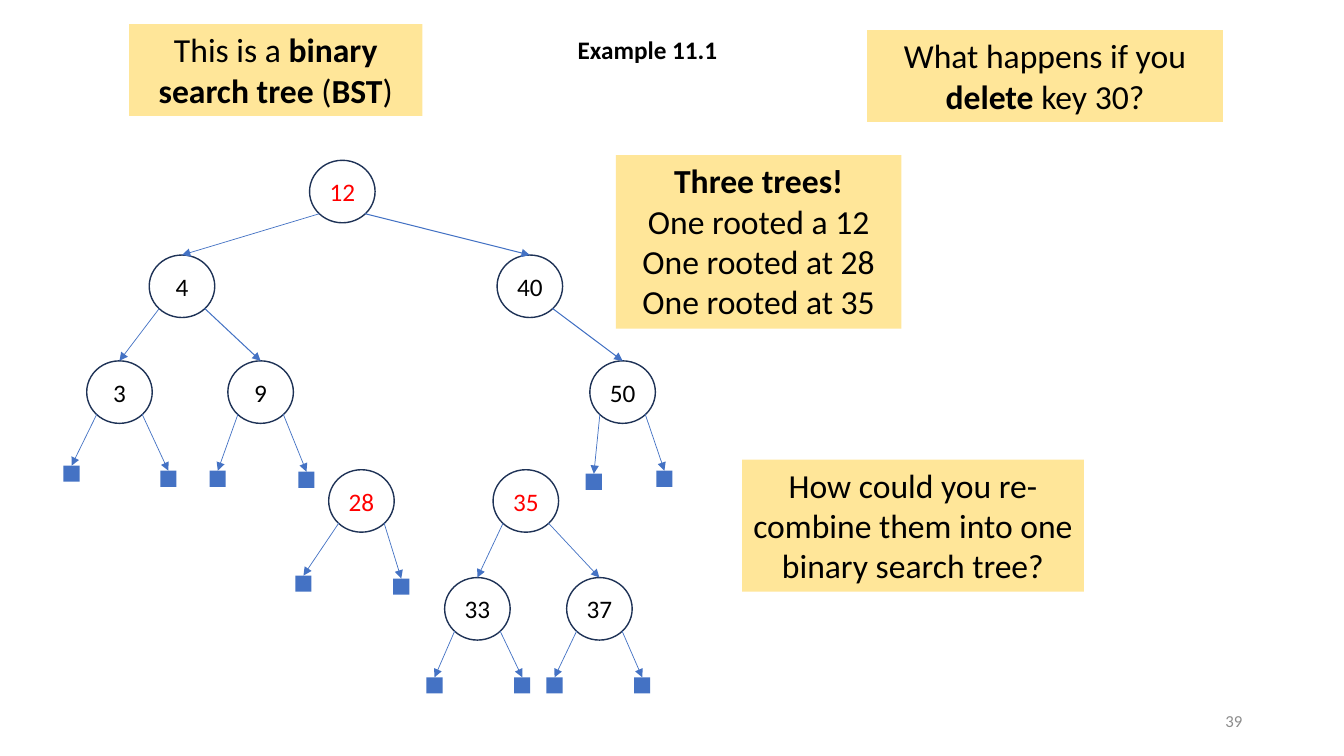
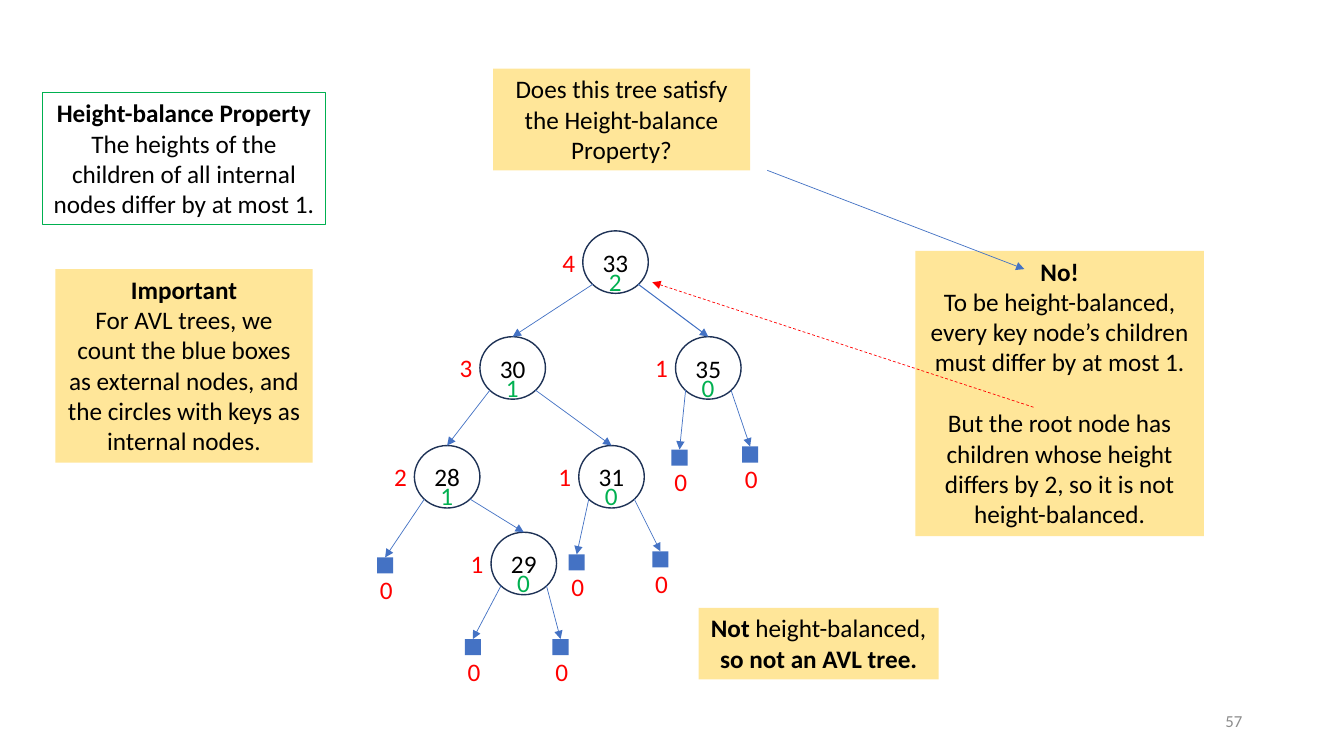
"""Binary search tree and AVL tree slides."""
from dataclasses import dataclass
from typing import Optional

import pptx
import pptx.dml.color
import pptx.enum.dml
import pptx.enum.shapes
import pptx.enum.text
import pptx.oxml
import pptx.oxml.ns
import pptx.util

Inches = pptx.util.Inches
SHAPE = pptx.enum.shapes.MSO_SHAPE
ALIGN = pptx.enum.text.PP_ALIGN
ANCHOR = pptx.enum.text.MSO_ANCHOR
DASH = pptx.enum.dml.MSO_LINE.DASH

BLACK, RED, GREEN, BLUE = "000000", "FF0000", "00B050", "4472C4"
NAVY, YELLOW, GREY = "1E3256", "FFE699", "8C8C8C"
NODE_W, NODE_H, LEAF = 0.65, 0.62, 0.16


def rgb(value):
    """Turn a hex string into a colour."""
    return pptx.dml.color.RGBColor.from_string(value)


@dataclass
class Node:
    """A tree node at its left and top; one without a key is external."""
    x: float
    y: float
    key: str = ""
    left: Optional["Node"] = None
    right: Optional["Node"] = None
    edge: float = 0.5
    color: str = BLACK

    @property
    def children(self):
        """List the children that exist."""
        return [n for n in (self.left, self.right) if n]

    @property
    def height(self):
        """Count the levels below this node."""
        return 1 + max(n.height for n in self.children) if self.key else 0

    @property
    def balance(self):
        """Give the height difference of the two children."""
        return abs(self.left.height - self.right.height)


class Deck:
    """Holds the style and the current slide."""
    font = "Calibri"

    def __init__(self):
        """Start an empty wide deck."""
        self.prs = pptx.Presentation()
        self.prs.slide_width = Inches(13.33)
        self.prs.slide_height = Inches(7.5)
        self.s = None

    def slide(self, number):
        """Add a slide with its page number."""
        self.s = self.prs.slides.add_slide(self.prs.slide_layouts[5])
        self.text((9.42, 6.95, 3, 0.4), number, 12, GREY, ALIGN.RIGHT, True)

    def set_text(self, sp, paras, size=18, color=BLACK, align=ALIGN.CENTER,
                 wrap=True, anchor=ANCHOR.TOP, gaps=None):
        """Put paragraphs of (text, bold) runs into a shape."""
        tf = sp.text_frame
        tf.auto_size = pptx.enum.text.MSO_AUTO_SIZE.NONE
        tf.word_wrap = wrap
        tf.vertical_anchor = anchor
        for i, runs in enumerate(paras):
            p = tf.add_paragraph() if i else tf.paragraphs[0]
            p.alignment = align
            p.space_before = pptx.util.Pt((gaps or {}).get(i, 0))
            for text, bold in runs:
                r = p.add_run()
                r.text = text
                r.font.name = self.font
                r.font.size = pptx.util.Pt(size)
                r.font.bold = bold
                r.font.color.rgb = rgb(color)

    def paint(self, sp, fill=None, line=None, width=1):
        """Set fill and outline of a shape."""
        if fill:
            sp.fill.solid()
            sp.fill.fore_color.rgb = rgb(fill)
        else:
            sp.fill.background()
        if line:
            sp.line.color.rgb = rgb(line)
            sp.line.width = pptx.util.Pt(width)
        else:
            sp.line.fill.background()

    def shape(self, kind, at, fill=None, line=None, width=1):
        """Add a flat preset shape."""
        sp = self.s.shapes.add_shape(kind, *map(Inches, at))
        sp.shadow.inherit = False
        self.paint(sp, fill, line, width)
        return sp

    def title(self, at, paras, fill=None, align=ALIGN.CENTER, wrap=True):
        """Place and fill the title placeholder."""
        sp = self.s.shapes.title
        sp.left, sp.top, sp.width, sp.height = map(Inches, at)
        self.paint(sp, fill)
        self.set_text(sp, paras, align=align, wrap=wrap)

    def box(self, at, paras, size=18, fill=YELLOW, line=None, gaps=None):
        """Add a note box."""
        sp = self.shape(SHAPE.RECTANGLE, at, fill, line, 0.75)
        self.set_text(sp, paras, size, gaps=gaps)

    def text(self, at, text, size=18, color=BLACK, align=ALIGN.LEFT, wrap=False):
        """Add a one-line text box."""
        sp = self.s.shapes.add_textbox(*map(Inches, at))
        self.set_text(sp, [[(text, False)]], size, color, align, wrap, ANCHOR.MIDDLE)

    def arrow(self, start, end, color=BLUE, width=0.5, dash=None, target=None):
        """Add an arrow, joined to the top of a target if there is one."""
        c = self.s.shapes.add_connector(
            pptx.enum.shapes.MSO_CONNECTOR.STRAIGHT, *map(Inches, start + end))
        c.line.color.rgb = rgb(color)
        c.line.width = pptx.util.Pt(width)
        if dash:
            c.line.dash_style = dash
        if target is not None:
            c.end_connect(target, 0)
        ns = pptx.oxml.ns.nsdecls("a")
        pr = c.element.spPr
        pr.get_or_add_ln().append(
            pptx.oxml.parse_xml(f'<a:tailEnd {ns} type="triangle"/>'))
        pr.append(pptx.oxml.parse_xml(f"<a:effectLst {ns}/>"))

    def tree(self, node):
        """Draw a node and all below it, and return its shape."""
        x, y = node.x, node.y
        if not node.key:
            return self.shape(SHAPE.RECTANGLE, (x, y, LEAF, LEAF), BLUE)
        sp = self.shape(SHAPE.OVAL, (x, y, NODE_W, NODE_H), line=NAVY)
        tf = sp.text_frame
        tf.margin_left = tf.margin_right = tf.margin_top = tf.margin_bottom = 0
        self.set_text(sp, [[(node.key, False)]], color=node.color,
                      anchor=ANCHOR.MIDDLE)
        for child in node.children:
            side = 0.1 if child is node.left else NODE_W - 0.1
            self.arrow((x + side, y + 0.53), (child.x, child.y),
                       width=child.edge, target=self.tree(child))
        return sp

    def heights(self, node):
        """Label heights in red and child differences in green."""
        dx, dy = (-0.3, 0.11) if node.key else (-0.07, 0.12)
        self.text((node.x + dx, node.y + dy, 0.33, 0.4), str(node.height), color=RED)
        if node.key:
            self.text((node.x + 0.16, node.y + 0.3, 0.33, 0.4),
                      str(node.balance), color=GREEN)
        for child in node.children:
            self.heights(child)


def split_trees(d):
    """Build the slide on deleting a key."""
    d.slide("39")
    d.title((5.63, 0.29, 1.6, 0.4), [[("Example 11.1", True)]],
            align=ALIGN.LEFT, wrap=False)
    d.box((1.28, 0.24, 2.91, 0.91),
          [[("This is a ", False), ("binary search tree", True),
            (" (", False), ("BST", True), (")", False)]], 24)
    d.box((8.6, 0.3, 3.53, 0.91),
          [[("What happens if you ", False), ("delete", True),
            (" key 30?", False)]], 24)
    three = Node(0.86, 3.58, "3", Node(0.63, 4.62), Node(1.59, 4.67))
    nine = Node(2.26, 3.58, "9", Node(2.08, 4.67), Node(2.96, 4.68), 0.75)
    fifty = Node(5.85, 3.58, "50", Node(5.81, 4.7), Node(6.51, 4.67), 0.75)
    four = Node(1.48, 2.53, "4", three, nine)
    forty = Node(4.93, 2.53, "40", right=fifty, edge=0.75)
    n33 = Node(4.41, 5.73, "33", Node(4.23, 6.72), Node(5.1, 6.72))
    n37 = Node(5.62, 5.73, "37", Node(5.42, 6.72), Node(6.29, 6.72))
    for root in (
        Node(3.07, 1.59, "12", four, forty, color=RED),
        Node(3.26, 4.66, "28", Node(2.93, 5.71), Node(3.9, 5.74), color=RED),
        Node(4.89, 4.66, "35", n33, n37, color=RED),
    ):
        d.tree(root)
    d.box((6.11, 1.54, 2.83, 1.72),
          [[("Three trees!", True)], [("One rooted a 12", False)],
           [("One rooted at 28", False)], [("One rooted at 35", False)]], 24)
    d.box((7.36, 4.56, 3.39, 1.31),
          [[("How could you re-combine them into one binary search tree?", False)]], 24)


def height_balance(d):
    """Build the slide on the height-balance property."""
    d.slide("57")
    d.title((4.89, 0.68, 2.55, 1.01),
            [[("Does this tree satisfy the Height-balance Property?", False)]], YELLOW)
    n29 = Node(4.87, 5.28, "29", Node(4.61, 6.34), Node(5.48, 6.34))
    n28 = Node(4.11, 4.42, "28", Node(3.74, 5.53), n29)
    n31 = Node(5.74, 4.42, "31", Node(5.64, 5.5), Node(6.47, 5.47))
    n30 = Node(4.76, 3.34, "30", n28, n31)
    n35 = Node(6.7, 3.34, "35", Node(6.66, 4.46), Node(7.36, 4.43), 0.75)
    root = Node(5.78, 2.29, "33", n30, n35)
    d.tree(root)
    d.heights(root)
    d.box((0.42, 0.92, 2.81, 1.31),
          [[("Height-balance Property", True)],
           [("The heights of the children of all internal nodes "
             "differ by at most 1.", False)]], fill=None, line=GREEN)
    d.box((0.55, 2.67, 2.55, 1.92),
          [[("Important", True)],
           [("For AVL trees, we count the blue boxes as external nodes, "
             "and the circles with keys as internal nodes.", False)]])
    d.box((9.08, 2.49, 2.86, 2.83),
          [[("No!", True)],
           [("To be height-balanced, every key node’s children "
             "must differ by at most 1.", False)],
           [("But the root node has children whose height differs by 2, "
             "so it is not height-balanced.", False)]], gaps={2: 22})
    d.arrow((7.61, 1.69), (10.16, 2.67))
    d.arrow((10.25, 4.04), (6.47, 2.8), RED, dash=DASH)
    d.box((6.93, 6.03, 2.38, 0.71),
          [[("Not", True), (" height-balanced,", False)],
           [("so not an AVL tree.", True)]])


def main():
    """Build and save the deck."""
    d = Deck()
    split_trees(d)
    height_balance(d)
    d.prs.save("out.pptx")


if __name__ == "__main__":
    main()
